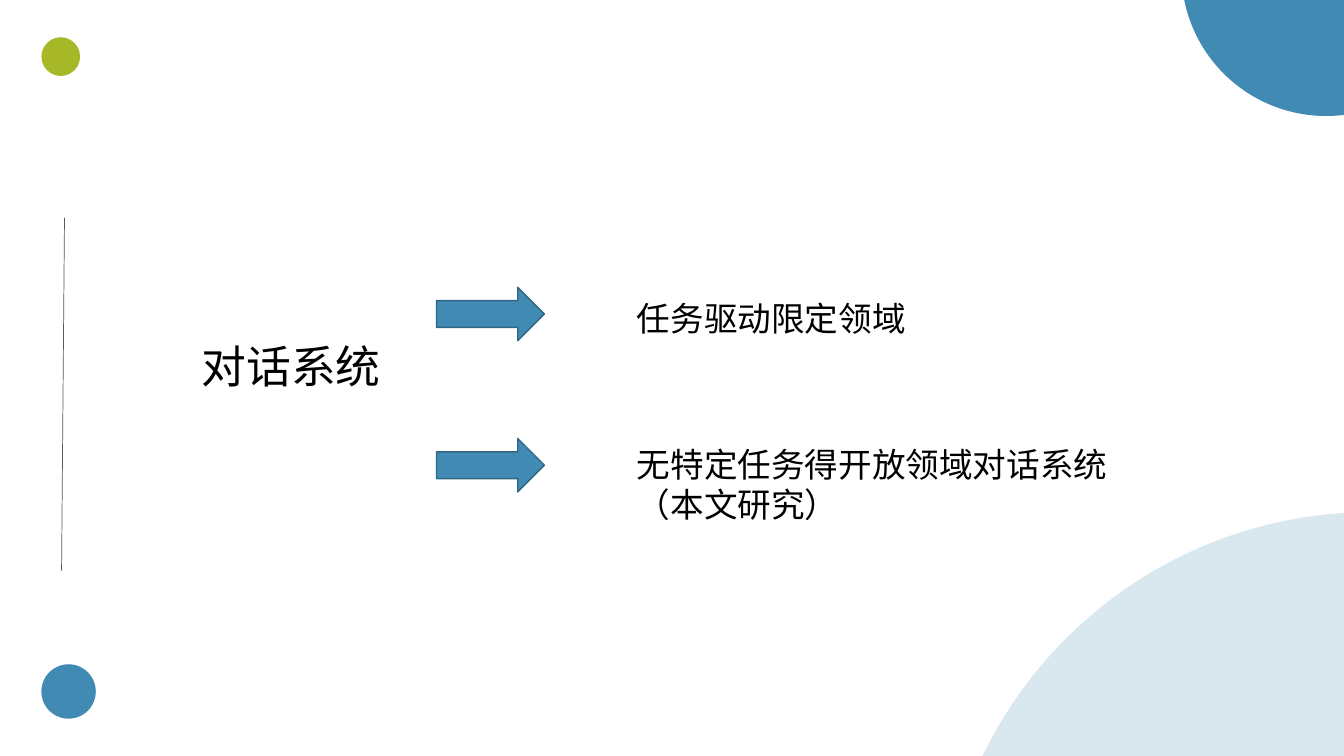
"""Build a slide that splits dialogue systems into two kinds."""
from dataclasses import dataclass

from lxml.etree import SubElement
from pptx import Presentation
from pptx.dml.color import RGBColor as RGB
from pptx.enum.shapes import MSO_CONNECTOR as CONN, MSO_SHAPE as SHAPE
from pptx.enum.text import MSO_AUTO_SIZE as FIT
from pptx.oxml.ns import qn
from pptx.util import Inches, Pt


@dataclass(frozen=True)
class Theme:
    blue: RGB = RGB.from_string("418AB3")
    edge: RGB = RGB.from_string("306684")
    green: RGB = RGB.from_string("A6B727")
    rule: RGB = RGB.from_string("595959")
    ink: RGB = RGB.from_string("000000")
    font: str = "Noto Sans CJK SC"
    topic: int = 32
    kind: int = 24


theme = Theme()
prs = Presentation()
prs.slide_width, prs.slide_height = Inches(13.333), Inches(7.5)
s = prs.slides.add_slide(prs.slide_layouts[6])
col, row = prs.slide_width / 100, prs.slide_height / 100


def add_text(text, *, x, y, w, h, size, wrap=True):
    """Add a text box placed in percent of the slide."""
    tf = s.shapes.add_textbox(int(x * col), int(y * row), int(w * col), int(h * row)).text_frame
    tf.word_wrap = wrap
    tf.auto_size = FIT.SHAPE_TO_FIT_TEXT
    r = tf.paragraphs[0].add_run()
    r.text = text
    r.font.size, r.font.name = Pt(size), theme.font
    r.font.color.rgb = theme.ink
    SubElement(r.font._element, qn("a:ea"), typeface=theme.font)


def add_solid(kind, x, y, w, h, color):
    """Add a plain filled shape; x and y are in percent, w and h in EMU."""
    sp = s.shapes.add_shape(kind, int(x * col), int(y * row), int(w), int(h))
    sp.shadow.inherit = False
    sp.fill.solid()
    sp.fill.fore_color.rgb = color
    sp.line.fill.background()
    return sp


circles = [
    (69.9, 67.73, 64.28, theme.blue, 20),
    (87.9, -22.93, 21.53, theme.blue, 100),
    (3.08, 87.87, 4.05, theme.blue, 100),
    (3.08, 4.93, 2.88, theme.green, 100),
]
for x, y, d, color, opacity in circles:
    sp = add_solid(SHAPE.FLOWCHART_CONNECTOR, x, y, d * col, d * col, color)
    if opacity < 100:
        clr = sp.fill._xPr.find(qn("a:solidFill"))[0]
        SubElement(clr, qn("a:alpha"), val=str(opacity * 1000))

rule = s.shapes.add_connector(CONN.STRAIGHT, int(4.8 * col), int(28.8 * row),
                              int(4.58 * col), int(75.47 * row))
rule.line.color.rgb, rule.line.width = theme.rule, Pt(0.5)
SubElement(rule._element.spPr, qn("a:effectLst"))

add_text("对话系统", x=14.25, y=44.13, w=14.85, h=8.53, size=theme.topic, wrap=False)

kinds = [
    ("任务驱动限定领域", 38, 38.8, 21.98, 6.67),
    ("无特定任务得开放领域对话系统（本文研究）", 58, 58, 39.23, 12.13),
]
for text, arrow_y, text_y, w, h in kinds:
    arrow = add_solid(SHAPE.RIGHT_ARROW, 32.48, arrow_y, 8.03 * col, 7.07 * row, theme.blue)
    arrow.line.color.rgb, arrow.line.width = theme.edge, Pt(1)
    add_text(text, x=46.65, y=text_y, w=w, h=h, size=theme.kind)

prs.save("out.pptx")
